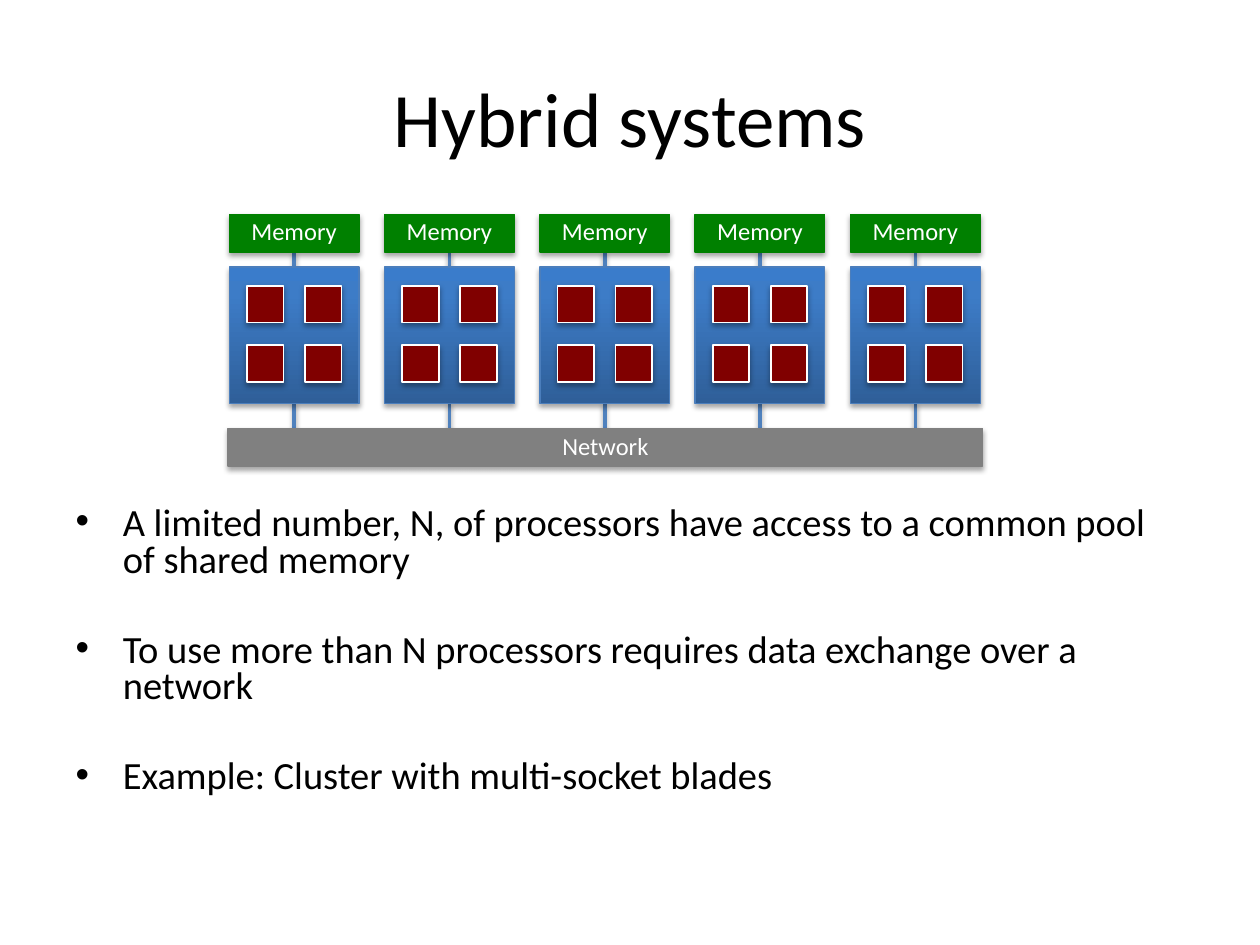
from copy import deepcopy
from dataclasses import dataclass
from itertools import product

from lxml.etree import SubElement
from pptx import Presentation
from pptx.dml.color import RGBColor
from pptx.enum.shapes import MSO_CONNECTOR, MSO_SHAPE
from pptx.enum.text import MSO_ANCHOR, MSO_AUTO_SIZE, PP_ALIGN
from pptx.oxml.ns import qn
from pptx.util import Emu, Inches, Pt

NODES = 5
NODE_LEFT, NODE_TOP, NODE_W, NODE_H = 1.82, 2.12, 1.03, 1.08
NODE_PITCH = (6.75 - NODE_LEFT) / (NODES - 1)
MEMORY_TOP, BAR_H, NETWORK_TOP = 1.7, 0.3, 3.4
CORE_SIZE = 0.29
CORE_OFFSETS = list(product((0.14, 0.6), (0.15, 0.62)))
NODE_GRADIENT = [(0, "2F5F99"), (0.8, "3D7CC7"), (1, "3A7CCB")]
BULLETS = [
    "A limited number, N, of processors have access to a common pool of shared memory",
    "To use more than N processors requires data exchange over a network",
    "Example: Cluster with multi-socket blades",
]


@dataclass(frozen=True)
class BoxStyle:
    line: str
    width: float = 0.75
    fill: str = ""  # empty means the node gradient


NODE = BoxStyle("4B7EBC")
CORE = BoxStyle("FFFFFF", 1, "800000")
MEMORY = BoxStyle("008000", fill="008000")
NETWORK = BoxStyle("808080", fill="808080")


def rgb(value: str) -> RGBColor:
    return RGBColor.from_string(value)


def add_shadow(s, dist: float, alpha: int) -> None:
    """Drop a soft black shadow straight down; call after the line is set."""
    effects = SubElement(s._element.spPr, qn("a:effectLst"))
    outer = SubElement(effects, qn("a:outerShdw"), blurRad=str(Pt(3.1)),
                       dist=str(Pt(dist)), dir="5400000", rotWithShape="0")
    color = SubElement(outer, qn("a:srgbClr"), val="000000")
    SubElement(color, qn("a:alpha"), val=str(alpha * 1000))


def write(p, text: str, *, size: float, color: str = "000000",
          align: PP_ALIGN | None = None, line_spacing: float | None = None,
          before: float | None = None) -> None:
    p.alignment = align
    p.line_spacing = line_spacing
    if before is not None:
        p.space_before = Pt(before)
    r = p.add_run()
    r.text = text
    r.font.name = "Calibri"
    r.font.size = Pt(size)
    r.font.color.rgb = rgb(color)


def place(s, left: float, top: float, width: float, height: float) -> None:
    s.left, s.top = Inches(left), Inches(top)
    s.width, s.height = Inches(width), Inches(height)


def fill_gradient(s) -> None:
    s.fill.gradient()
    stops = s._element.spPr.find(".//" + qn("a:gsLst"))
    stops.append(deepcopy(stops[-1]))
    for stop, (position, color) in zip(s.fill.gradient_stops, NODE_GRADIENT):
        stop.position = position
        stop.color.rgb = rgb(color)
    s.fill.gradient_angle = 90


def add_box(slide, left: float, top: float, width: float, height: float,
            style: BoxStyle, text: str = "") -> None:
    s = slide.shapes.add_shape(MSO_SHAPE.RECTANGLE, Emu(0), Emu(0), Emu(0), Emu(0))
    place(s, left, top, width, height)
    if style.fill:
        s.fill.solid()
        s.fill.fore_color.rgb = rgb(style.fill)
    else:
        fill_gradient(s)
    s.line.color.rgb = rgb(style.line)
    s.line.width = Pt(style.width)
    add_shadow(s, 1.8, 35)
    if text:
        tf = s.text_frame
        tf.vertical_anchor = MSO_ANCHOR.BOTTOM
        write(tf.paragraphs[0], text, size=14, color="FFFFFF", align=PP_ALIGN.CENTER)


def add_link(slide, x: float, top: float, bottom: float) -> None:
    s = slide.shapes.add_connector(MSO_CONNECTOR.STRAIGHT, Inches(x), Inches(top),
                                   Inches(x), Inches(bottom))
    s.line.color.rgb = rgb("4F81BD")
    s.line.width = Pt(2)
    add_shadow(s, 1.6, 38)


def add_node(slide, left: float) -> None:
    """Draw one node with its memory, its four cores and its two links."""
    center = left + NODE_W / 2
    add_link(slide, center, MEMORY_TOP + BAR_H, NODE_TOP)
    add_link(slide, center, NODE_TOP + NODE_H, NETWORK_TOP)
    add_box(slide, left, NODE_TOP, NODE_W, NODE_H, NODE)
    add_box(slide, left, MEMORY_TOP, NODE_W, BAR_H, MEMORY, "Memory")
    for dx, dy in CORE_OFFSETS:
        add_box(slide, left + dx, NODE_TOP + dy, CORE_SIZE, CORE_SIZE, CORE)


def add_bullets(body) -> None:
    place(body, 0.5, 3.97, 9, 2.73)
    tf = body.text_frame
    tf.auto_size = MSO_AUTO_SIZE.NONE
    for i, text in enumerate(BULLETS):
        p = tf.add_paragraph() if i else tf.paragraphs[0]
        write(p, text, size=22, line_spacing=0.8, before=30.3 if i else 4.4)


def main() -> None:
    prs = Presentation()
    prs.slide_width, prs.slide_height = Inches(10), Inches(7.5)
    slide = prs.slides.add_slide(prs.slide_layouts[1])
    title, body = slide.placeholders
    place(title, 0.5, 0.3, 9, 1.25)
    write(title.text_frame.paragraphs[0], "Hybrid systems", size=44,
          align=PP_ALIGN.CENTER)
    add_bullets(body)
    for i in range(NODES):
        add_node(slide, NODE_LEFT + i * NODE_PITCH)
    add_box(slide, 1.81, NETWORK_TOP, 5.99, BAR_H, NETWORK, "Network")
    prs.save("out.pptx")


if __name__ == "__main__":
    main()
